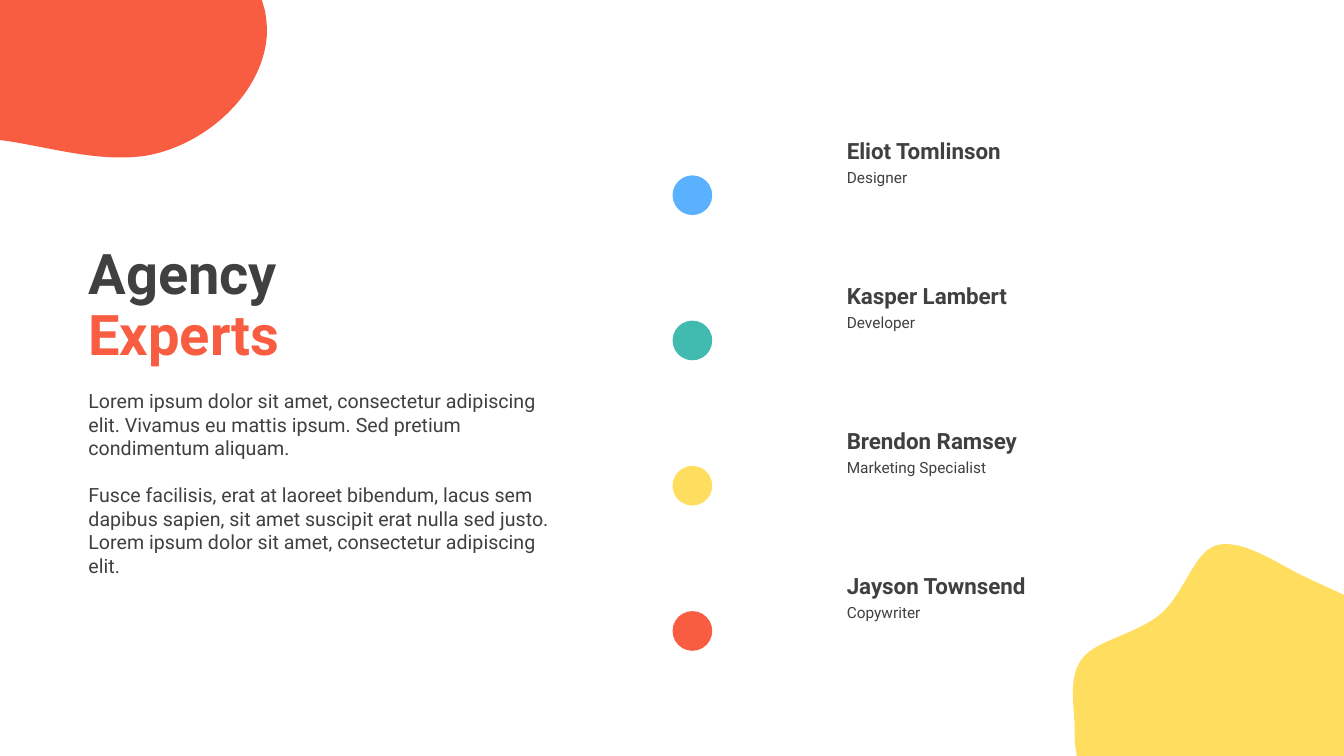
from lxml.etree import SubElement
from pptx import Presentation
from pptx.dml.color import RGBColor
from pptx.enum.shapes import MSO_SHAPE
from pptx.enum.text import MSO_ANCHOR
from pptx.oxml.ns import qn
from pptx.util import Cm, Pt

COLOURS = {
    "ink": "3F403F",
    "coral": "F95D41",
    "yellow": "FFDD5F",
    "blue": "5AB1FF",
    "teal": "41BAB0",
}
FONT = "Roboto"

EXPERTS = [
    ("Eliot Tomlinson", "Designer", "blue"),
    ("Kasper Lambert", "Developer", "teal"),
    ("Brendon Ramsey", "Marketing Specialist", "yellow"),
    ("Jayson Townsend", "Copywriter", "coral"),
]
INTRODUCTION = [
    "Lorem ipsum dolor sit amet, consectetur adipiscing elit. "
    "Vivamus eu mattis ipsum. Sed pretium condimentum aliquam.",
    "Fusce facilisis, erat at laoreet bibendum, lacus sem dapibus sapien, "
    "sit amet suscipit erat nulla sed justo. "
    "Lorem ipsum dolor sit amet, consectetur adipiscing elit.",
]

# Outlines in centimetres: two numbers make a straight step, six a Bézier curve.
CORAL_BLOB = [
    (0, 0), (6.6, 0), (6.68, 0.28),
    (6.71, 0.46, 6.73, 0.64, 6.73, 0.81),
    (6.68, 2.29, 5.26, 3.61, 3.76, 3.91),
    (2.62, 4.11, 1.45, 3.76, 0.23, 3.56),
    (0, 3.53),
]
YELLOW_BLOB = [
    (6.82, 5.33), (0.08, 5.33), (0.08, 5.28),
    (0.03, 5.03, 0.03, 4.75, 0.03, 4.49),
    (-0.02, 3.78, -0.1, 3.15, 0.33, 2.76),
    (0.74, 2.38, 1.65, 2.23, 2.24, 1.72),
    (2.8, 1.19, 3.02, 0.28, 3.53, 0.05),
    (4.07, -0.18, 4.88, 0.3, 5.56, 0.68),
    (5.92, 0.86, 6.25, 1.01, 6.58, 1.16),
    (6.82, 1.27),
]


def colour(name):
    return RGBColor.from_string(COLOURS[name])


def paint(shape, fill):
    shape.shadow.inherit = False
    shape.fill.solid()
    shape.fill.fore_color.rgb = colour(fill)
    shape.line.fill.background()


def add_text(slide, box, paragraphs, size, bold=False):
    """Place text in a box of (left, top, width, height) and return its frame."""
    frame = slide.shapes.add_textbox(*map(Cm, box)).text_frame
    frame.word_wrap = True
    frame.margin_left = frame.margin_top = frame.margin_right = frame.margin_bottom = 0
    frame.text = "\n".join(paragraphs)
    for para in frame.paragraphs:
        for span in para.runs:
            span.font.name = FONT
            span.font.size = Pt(size)
            span.font.bold = bold
            span.font.color.rgb = colour("ink")
    return frame


def add_blob(slide, left, top, outline, fill):
    """Draw the outline through its end points, then bend the curved steps."""
    ends = [(Cm(left + step[-2]), Cm(top + step[-1])) for step in outline]
    builder = slide.shapes.build_freeform(*ends[0])
    builder.add_line_segments(ends[1:], close=True)
    blob = builder.convert_to_shape()
    paint(blob, fill)

    lines = list(blob.element.iter(qn("a:lnTo")))
    for line, step in zip(lines, outline[1:]):
        if len(step) == 6:
            line.tag = qn("a:cubicBezTo")
            end = line[0]
            for x, y in (step[:2], step[2:4]):
                control = SubElement(line, qn("a:pt"))
                control.set("x", str(Cm(left + x) - blob.left))
                control.set("y", str(Cm(top + y) - blob.top))
            line.append(end)


def add_introduction(slide, left, top, width):
    title = add_text(slide, (left, top, width, 3.25), ["Agency\vExperts"], 40, True)
    title.word_wrap = False
    title.vertical_anchor = MSO_ANCHOR.BOTTOM
    heading = title.paragraphs[0]
    heading.line_spacing = 0.9
    heading.runs[1].font.color.rgb = colour("coral")

    body = add_text(slide, (left, top + 3.79, width, 4.98), INTRODUCTION, 14)
    body.paragraphs[1].space_before = Pt(16.8)


def add_expert(slide, left, top, name, role, fill):
    dot = slide.shapes.add_shape(
        MSO_SHAPE.OVAL, Cm(left), Cm(top + 0.97), Cm(1), Cm(1)
    )
    paint(dot, fill)
    add_text(slide, (left + 4.39, top, 4.9, 0.66), [name], 16, True)
    add_text(slide, (left + 4.39, top + 0.78, 4.9, 0.69), [role], 11)


def add_experts(slide, left, top, pitch):
    for row, expert in enumerate(EXPERTS):
        add_expert(slide, left, top + row * pitch, *expert)


def main():
    deck = Presentation()
    deck.slide_width, deck.slide_height = Cm(33.87), Cm(19.05)
    page = deck.slides.add_slide(deck.slide_layouts[6])
    add_introduction(page, 2.23, 6.01, 12.09)
    add_blob(page, 0, 0, CORAL_BLOB, "coral")
    add_blob(page, 27.05, 13.72, YELLOW_BLOB, "yellow")
    add_experts(page, 16.95, 3.45, 3.66)
    deck.save("out.pptx")


if __name__ == "__main__":
    main()
